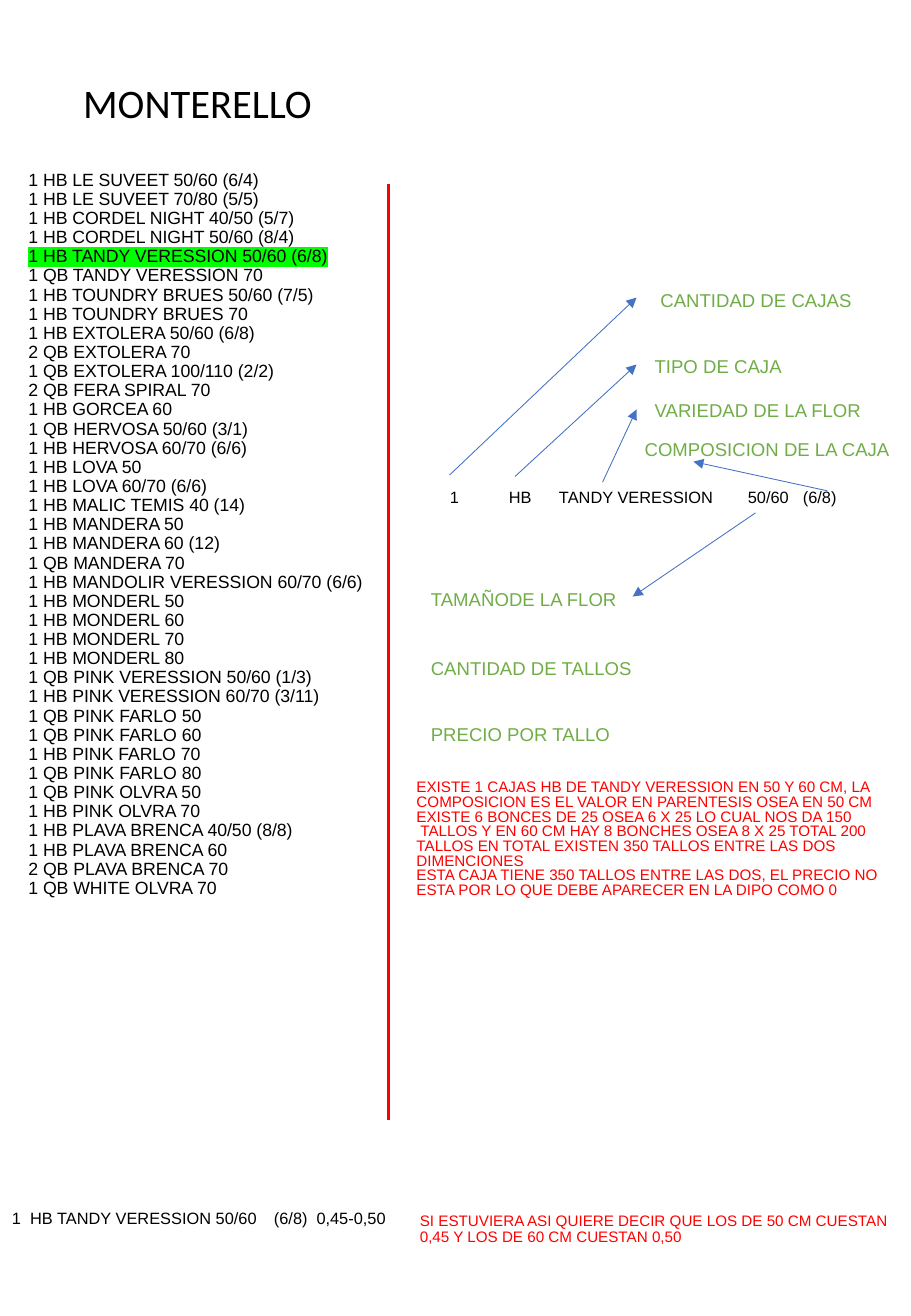
from lxml.etree import SubElement
from pptx import Presentation
from pptx.dml.color import RGBColor
from pptx.enum.shapes import MSO_CONNECTOR as Connector
from pptx.enum.text import MSO_ANCHOR as Anchor, MSO_AUTO_SIZE as AutoSize, PP_ALIGN as Align
from pptx.oxml.ns import qn
from pptx.util import Cm, Pt

BLACK = RGBColor(0x00, 0x00, 0x00)
RED = RGBColor(0xFF, 0x00, 0x00)
GREEN = RGBColor(0x70, 0xAD, 0x47)
BLUE = RGBColor(0x44, 0x72, 0xC4)
MARKER = RGBColor(0x00, 0xFF, 0x00)

PAGE_WIDTH, PAGE_HEIGHT = 19.05, 27.51
LABEL_HEIGHT = 0.84
EXPLAINED_BOX = "1 HB TANDY VERESSION 50/60 (6/8)"

ORDERS = [
    "1 HB LE SUVEET 50/60 (6/4)", "1 HB LE SUVEET 70/80 (5/5)",
    "1 HB CORDEL NIGHT 40/50 (5/7)", "1 HB CORDEL NIGHT 50/60 (8/4)",
    EXPLAINED_BOX, "1 QB TANDY VERESSION 70",
    "1 HB TOUNDRY BRUES 50/60 (7/5)", "1 HB TOUNDRY BRUES 70",
    "1 HB EXTOLERA 50/60 (6/8)", "2 QB EXTOLERA 70", "1 QB EXTOLERA 100/110 (2/2)",
    "2 QB FERA SPIRAL 70", "1 HB GORCEA 60",
    "1 QB HERVOSA 50/60 (3/1)", "1 HB HERVOSA 60/70 (6/6)",
    "1 HB LOVA 50", "1 HB LOVA 60/70 (6/6)", "1 HB MALIC TEMIS 40 (14)",
    "1 HB MANDERA 50", "1 HB MANDERA 60 (12)", "1 QB MANDERA 70",
    "1 HB MANDOLIR VERESSION 60/70 (6/6)",
    "1 HB MONDERL 50", "1 HB MONDERL 60", "1 HB MONDERL 70", "1 HB MONDERL 80",
    "1 QB PINK VERESSION 50/60 (1/3)", "1 HB PINK VERESSION 60/70 (3/11)",
    "1 QB PINK FARLO 50", "1 QB PINK FARLO 60", "1 HB PINK FARLO 70", "1 QB PINK FARLO 80",
    "1 QB PINK OLVRA 50", "1 HB PINK OLVRA 70",
    "1 HB PLAVA BRENCA 40/50 (8/8)", "1 HB PLAVA BRENCA 60", "2 QB PLAVA BRENCA 70",
    "1 QB WHITE OLVRA 70",
]

FIELD_LABELS = [
    ("CANTIDAD DE CAJAS", 13.56, 5.8),
    ("TIPO DE CAJA", 13.44, 7.17),
    ("VARIEDAD DE LA FLOR", 13.44, 8.1),
    ("COMPOSICION DE LA CAJA", 13.23, 8.92),
    ("TAMAÑODE LA FLOR", 8.76, 12.04),
    ("CANTIDAD DE TALLOS", 8.76, 13.49),
    ("PRECIO POR TALLO", 8.76, 14.86),
]

FIELD_ARROWS = [
    ((9.4, 9.93), (13.31, 6.22)),
    ((10.77, 9.96), (13.31, 7.62)),
    ((12.6, 10.08), (13.31, 8.56)),
    ((15.8, 10.72), (13.23, 12.47)),
    ((17.3, 10.26), (14.5, 9.65)),
]

EXPLANATION = [
    "EXISTE 1 CAJAS HB DE TANDY VERESSION EN 50 Y 60 CM, LA COMPOSICION ES EL VALOR EN "
    "PARENTESIS OSEA EN 50 CM EXISTE 6 BONCES DE 25 OSEA 6 X 25 LO CUAL NOS DA 150",
    " TALLOS Y EN 60 CM HAY 8 BONCHES OSEA 8 X 25 TOTAL 200 TALLOS EN TOTAL EXISTEN "
    "350 TALLOS ENTRE LAS DOS DIMENCIONES",
    "ESTA CAJA TIENE 350 TALLOS ENTRE LAS DOS, EL PRECIO NO ESTA POR LO QUE DEBE "
    "APARECER EN LA DIPO COMO 0",
]
PRICE_NOTE = ("SI ESTUVIERA ASI QUIERE DECIR QUE LOS DE 50 CM CUESTAN "
              "0,45 Y LOS DE 60 CM CUESTAN 0,50")


def place(holder, left, top, width, height):
    holder.left, holder.top, holder.width, holder.height = map(Cm, (left, top, width, height))


def write(holder, lines, size, color, spacing=0.9, font="Arial", align=Align.LEFT):
    frame = holder.text_frame
    frame.word_wrap = True
    frame.auto_size = AutoSize.NONE
    frame.vertical_anchor = Anchor.BOTTOM
    for index, line in enumerate(lines):
        paragraph = frame.add_paragraph() if index else frame.paragraphs[0]
        paragraph.alignment = align
        paragraph.line_spacing = spacing
        paragraph.space_before = paragraph.space_after = Pt(0)
        run = paragraph.add_run()
        run.text = line
        run.font.size = Pt(size)
        run.font.name = font
        run.font.color.rgb = color
    return frame.paragraphs


def add_text(slide, box, lines, size, color, spacing=0.9):
    return write(slide.shapes.add_textbox(*map(Cm, box)), lines, size, color, spacing)


def add_field_row(slide, left, top, fields, stops):
    row, = add_text(slide, (left, top, 9.68, LABEL_HEIGHT), ["\t".join(fields)], 9.7, BLACK)
    tabs = SubElement(row._p.get_or_add_pPr(), qn("a:tabLst"))
    for stop in stops:
        SubElement(tabs, qn("a:tab"), pos=str(Cm(stop)), algn="l")


def add_line(slide, start, end, color, weight, arrow=False):
    line = slide.shapes.add_connector(Connector.STRAIGHT, *map(Cm, start + end))
    line.line.color.rgb = color
    line.line.width = Pt(weight)
    if arrow:
        SubElement(line.line._get_or_add_ln(), qn("a:tailEnd"), type="triangle")
    SubElement(line._element.spPr, qn("a:effectLst"))


def highlight(run, color):
    properties = run._r.get_or_add_rPr()
    mark = SubElement(properties, qn("a:highlight"))
    SubElement(mark, qn("a:srgbClr"), val=str(color))
    properties.find(qn("a:latin")).addprevious(mark)


def fill_order_list(order_list):
    place(order_list, 0.34, 3, 8.9, 16.28)
    order_list.text_frame.margin_bottom = Cm(0.51)
    for paragraph in write(order_list, ORDERS, 10.5, BLACK, Pt(11.34)):
        properties = paragraph._p.get_or_add_pPr()
        properties.set("marL", "0")
        properties.set("indent", "0")
        SubElement(properties, qn("a:buNone"))
        order = paragraph.runs[0]
        if order.text == EXPLAINED_BOX:
            highlight(order, MARKER)


def main():
    deck = Presentation()
    deck.slide_width, deck.slide_height = Cm(PAGE_WIDTH), Cm(PAGE_HEIGHT)
    slide = deck.slides.add_slide(deck.slide_layouts[1])
    farm_title, order_list = slide.placeholders

    place(farm_title, 0.94, 1.33, 6.38, 1.45)
    write(farm_title, ["MONTERELLO"], 24, BLACK, font="Calibri", align=Align.CENTER)
    fill_order_list(order_list)
    add_line(slide, (8.13, 3.84), (8.13, 23.42), RED, 2)

    for start, end in FIELD_ARROWS:
        add_line(slide, start, end, BLUE, 0.5, arrow=True)
    for label, left, top in FIELD_LABELS:
        add_text(slide, (left, top, PAGE_WIDTH - left, LABEL_HEIGHT), [label], 11, GREEN)

    add_field_row(slide, 9.16, 9.88, ["1", "HB", "TANDY VERESSION", "50/60", "(6/8)"],
                  [1.23, 2.28, 6.23, 7.38])
    add_text(slide, (8.46, 16.07, 10.46, 2.84), EXPLANATION, 9, RED, Pt(8.7))

    add_field_row(slide, 0, 24.96, ["1", "HB TANDY VERESSION 50/60", "(6/8)", "0,45-0,50"],
                  [0.38, 5.48, 6.37])
    add_text(slide, (8.53, 25.15, 10.46, 1.02), [PRICE_NOTE], 9, RED, Pt(9.4))

    deck.save("out.pptx")


if __name__ == "__main__":
    main()
